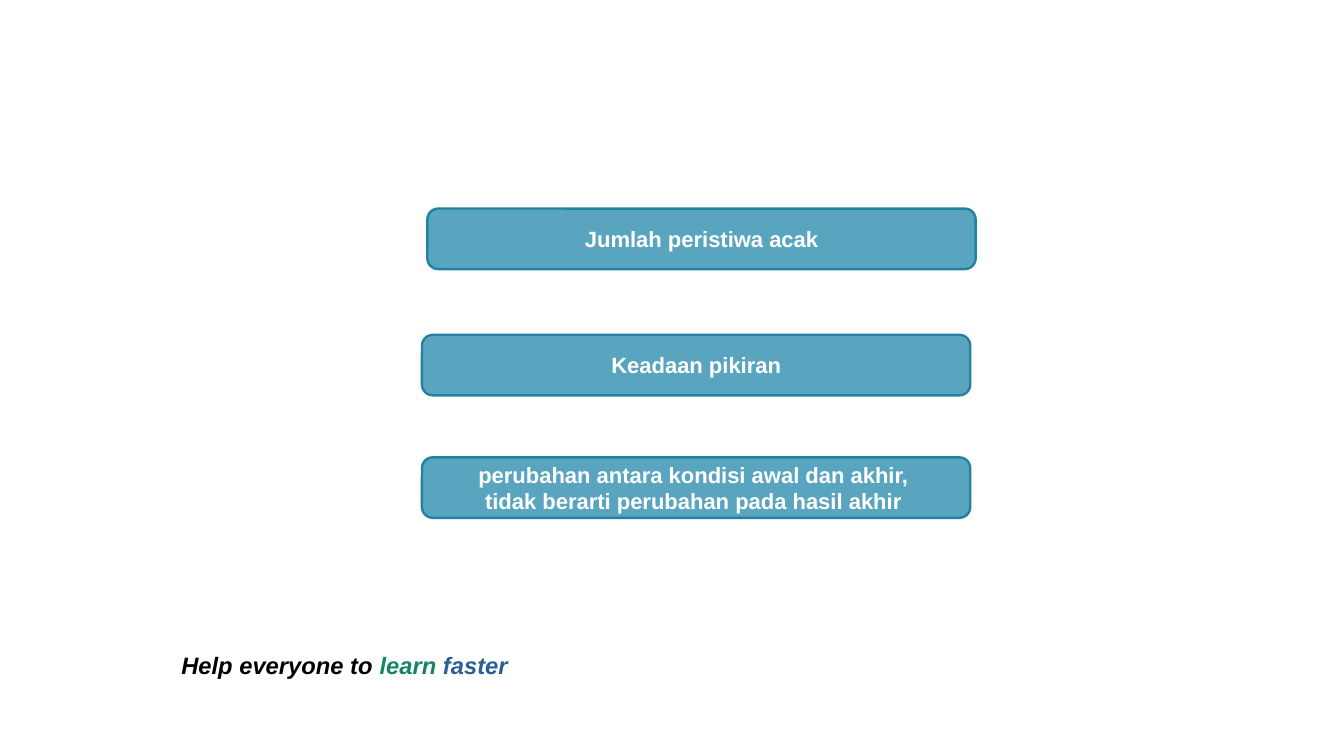
from pptx import Presentation
from pptx.dml.color import RGBColor as RGB
from pptx.enum.shapes import MSO_SHAPE as Shape
from pptx.enum.text import MSO_ANCHOR as Anchor, PP_ALIGN as Align
from pptx.util import Inches, Pt

COLORS = {"fill": "59A5BF", "edge": "2382A1", "white": "FFFFFF",
          "black": "000000", "green": "158466", "blue": "2A6099"}


class Deck:
    """Holds the style and the current slide; lengths are percent of its size."""
    font = "Arial"

    def __init__(self, width, height):
        self.prs = Presentation()
        self.prs.slide_width, self.prs.slide_height = Inches(width), Inches(height)
        self.s = self.prs.slides.add_slide(self.prs.slide_layouts[6])

    def area(self, x, y, w, h):
        sw, sh = self.prs.slide_width, self.prs.slide_height
        return [round(share * size / 100)
                for share, size in zip((x, y, w, h), (sw, sh, sw, sh))]

    def style(self, p, size, italic=False):
        f = p.font
        f.name, f.size, f.bold, f.italic = self.font, Pt(size), True, italic

    def answer(self, x, y, lines, w=40.8, h=8):
        sp = self.s.shapes.add_shape(Shape.ROUNDED_RECTANGLE, *self.area(x, y, w, h))
        sp.shadow.inherit = False
        sp.adjustments[0] = 0.18
        sp.fill.solid()
        sp.fill.fore_color.rgb = RGB.from_string(COLORS["fill"])
        sp.line.color.rgb = RGB.from_string(COLORS["edge"])
        sp.line.width = Pt(1.42)
        tf = sp.text_frame
        tf.word_wrap = False
        tf.vertical_anchor = Anchor.MIDDLE
        tf.text = "\n".join(lines)
        for p in tf.paragraphs:
            p.alignment = Align.CENTER
            self.style(p, 13)
            p.font.color.rgb = RGB.from_string(COLORS["white"])

    def slogan(self, x, y, w, h, parts):
        tf = self.s.shapes.add_textbox(*self.area(x, y, w, h)).text_frame
        tf.word_wrap = True
        p = tf.paragraphs[0]
        self.style(p, 14, italic=True)
        for text, color in parts:
            r = p.add_run()
            r.text = text
            r.font.color.rgb = RGB.from_string(COLORS[color])


def main():
    deck = Deck(11.02, 6.2)

    # Answer boxes
    deck.answer(31.8, 27.6, ["Jumlah peristiwa acak"])
    deck.answer(31.4, 44.3, ["Keadaan pikiran"])
    deck.answer(31.4, 60.5, ["perubahan antara kondisi awal dan akhir, ",
                             "tidak berarti perubahan pada hasil akhir "])

    # Slogan at the foot
    deck.slogan(12.6, 85.3, 26.5, 5.2, [("Help everyone to ", "black"),
                                        ("learn ", "green"), ("faster", "blue")])

    deck.prs.save("out.pptx")


if __name__ == "__main__":
    main()
